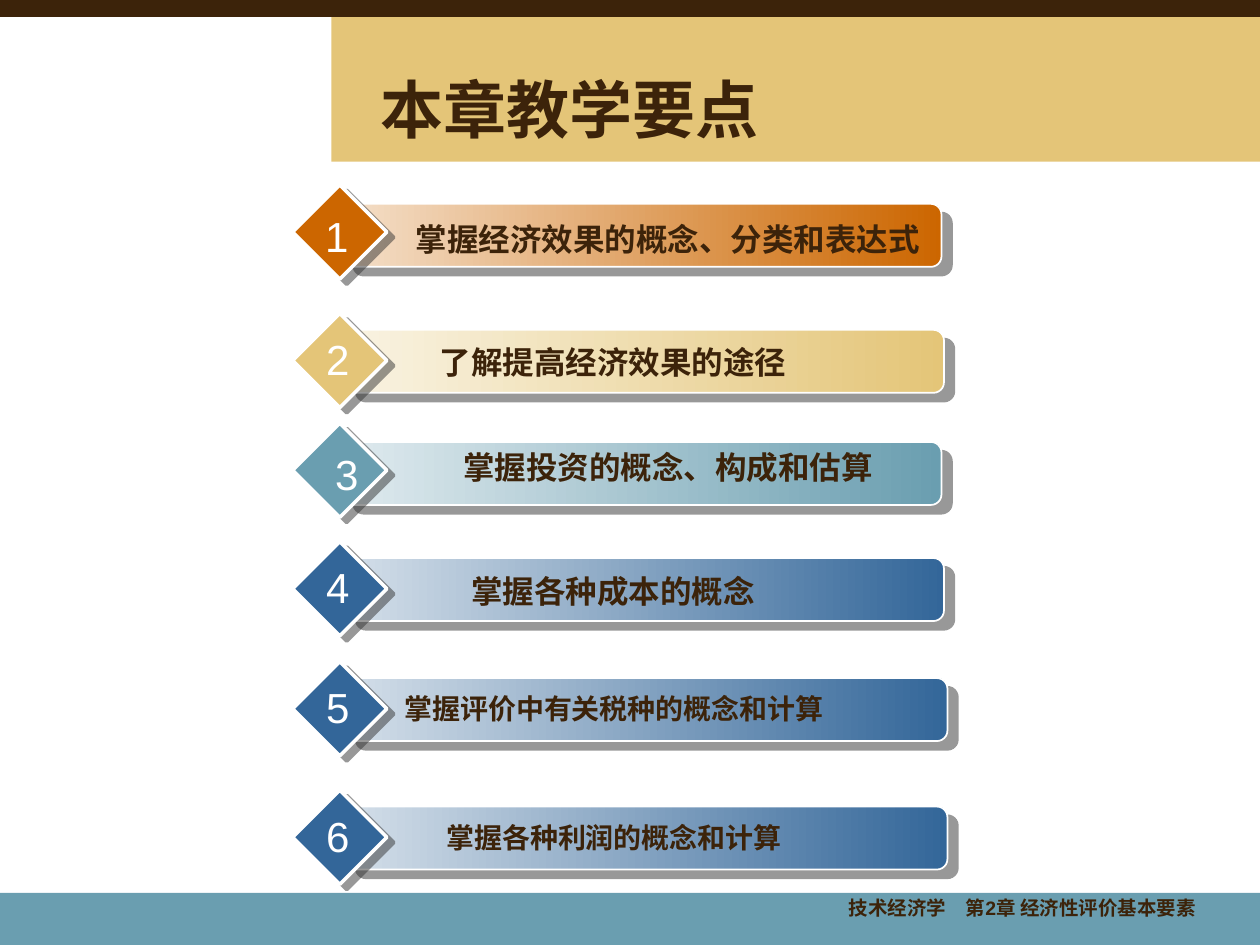
import pptx
import pptx.util
import pptx.dml.color
import pptx.enum.shapes
import pptx.enum.text
from lxml import etree

Cm = pptx.util.Cm
Pt = pptx.util.Pt
RGB = pptx.dml.color.RGBColor
Shape = pptx.enum.shapes.MSO_SHAPE
Align = pptx.enum.text.PP_ALIGN
Anchor = pptx.enum.text.MSO_ANCHOR

WHITE = RGB(0xFF, 0xFF, 0xFF)
BROWN = RGB(0x3C, 0x23, 0x0A)
GRAY = RGB(0x33, 0x33, 0x33)
SAND = RGB(0xE4, 0xC5, 0x78)
TEAL = RGB(0x6A, 0x9E, 0xB0)
RUST = RGB(0xCC, 0x66, 0x00)
BLUE = RGB(0x33, 0x66, 0x99)
PALE = {
    RUST: RGB(0xF4, 0xDF, 0xC9),
    SAND: RGB(0xF9, 0xF3, 0xE2),
    TEAL: RGB(0xDF, 0xEA, 0xEE),
    BLUE: RGB(0xD4, 0xDF, 0xE9),
}
NS = "http://schemas.openxmlformats.org/drawingml/2006/main"

# Per row: diamond top, colour, then bar (left, drop, width),
# label (left, drop, width), digit (left, drop), label size, label.
# A drop is measured down from the diamond top.
ROWS = [
    (3.73, RUST, (6.91, 0.38, 12.07), (8.1, 0.59, 10.72), (6.3, 0.38),
     18, "掌握经济效果的概念、分类和表达式"),
    (6.32, SAND, (6.96, 0.33, 12.07), (7.59, 0.48, 9.53), (6.32, 0.28),
     18, "了解提高经济效果的途径"),
    (8.53, TEAL, (6.91, 0.38, 12.07), (7.7, 0.38, 11.53), (6.5, 0.38),
     18, "掌握投资的概念、构成和估算"),
    (10.92, BLUE, (6.96, 0.33, 12.07), (7.59, 0.48, 9.53), (6.32, 0.28),
     18, "掌握各种成本的概念"),
    (13.34, BLUE, (6.96, 0.33, 12.14), (7.59, 0.48, 9.58), (6.32, 0.28),
     16, "掌握评价中有关税种的概念和计算"),
    (15.93, BLUE, (6.96, 0.33, 12.14), (7.59, 0.48, 9.58), (6.32, 0.28),
     16, "掌握各种利润的概念和计算"),
]


class Deck:
    def __init__(self, slide, font="Arial"):
        self.slide = slide
        self.font = font

    def shape(self, kind, x, y, w, h, fill, line=None, width=1):
        item = self.slide.shapes.add_shape(kind, Cm(x), Cm(y), Cm(w), Cm(h))
        item.shadow.inherit = False
        item.fill.solid()
        item.fill.fore_color.rgb = fill
        if line is None:
            item.line.fill.background()
        else:
            item.line.color.rgb = line
            item.line.width = Pt(width)
        return item

    def shade(self, item, dist, angle):
        """Give the item a hard, half-clear shadow."""
        effects = item._element.spPr.find(f"{{{NS}}}effectLst")
        outer = etree.SubElement(
            effects, f"{{{NS}}}outerShdw", blurRad="0", dist=str(Pt(dist)),
            dir=str(angle * 60000), algn="ctr", rotWithShape="0")
        color = etree.SubElement(outer, f"{{{NS}}}srgbClr", val=str(GRAY))
        etree.SubElement(color, f"{{{NS}}}alpha", val="50000")

    def bar(self, x, y, w, color):
        item = self.shape(Shape.ROUNDED_RECTANGLE, x, y, w, 1.27, color, WHITE)
        item.fill.gradient()
        item.fill.gradient_angle = 0
        for stop, tint in zip(item.fill.gradient_stops, (PALE[color], color)):
            stop.color.rgb = tint
        self.shade(item, 7.8, 40)

    def diamond(self, x, y, color):
        item = self.shape(Shape.DIAMOND, x, y, 1.9, 1.9, color, WHITE, 2)
        self.shade(item, 5, 37)

    def text(self, x, y, w, h, words, size, color=BROWN, bold=True,
             align=Align.CENTER, anchor=Anchor.TOP, space=None):
        box = self.slide.shapes.add_textbox(Cm(x), Cm(y), Cm(w), Cm(h))
        frame = box.text_frame
        frame.word_wrap = True
        frame.vertical_anchor = anchor
        frame.text = words
        para = frame.paragraphs[0]
        para.alignment = align
        if space:
            para.line_spacing = space
        for run in para.runs:
            run.font.name = self.font
            run.font.size = Pt(size)
            run.font.bold = bold
            run.font.color.rgb = color


def main():
    show = pptx.Presentation()
    show.slide_width, show.slide_height = Cm(25.4), Cm(19.05)
    deck = Deck(show.slides.add_slide(show.slide_layouts[6]))

    deck.shape(Shape.RECTANGLE, 6.68, 0.33, 18.72, 2.93, SAND)
    deck.shape(Shape.RECTANGLE, 0, 18, 25.4, 1.05, TEAL)
    deck.shape(Shape.RECTANGLE, 0, 0, 25.4, 0.33, BROWN, BROWN, 0.75)
    deck.text(16.31, 18, 8.05, 0.84, "技术经济学　第2章 经济性评价基本要素",
              11.1, align=Align.RIGHT, space=0.9)
    deck.text(7.42, 1.4, 17.58, 1.57, "本章教学要点", 36,
              align=Align.LEFT, anchor=Anchor.MIDDLE)

    for num, (top, color, bar, label, digit, size, words) in enumerate(ROWS, 1):
        x, drop, w = bar
        deck.bar(x, top + drop, w, color)
        deck.diamond(5.9, top, color)
        x, drop, w = label
        deck.text(x, top + drop, w, 1, words, size)
        x, drop = digit
        deck.text(x, top + drop, 0.98, 1.27, str(num), 24, WHITE, False)

    show.save("out.pptx")


if __name__ == "__main__":
    main()
